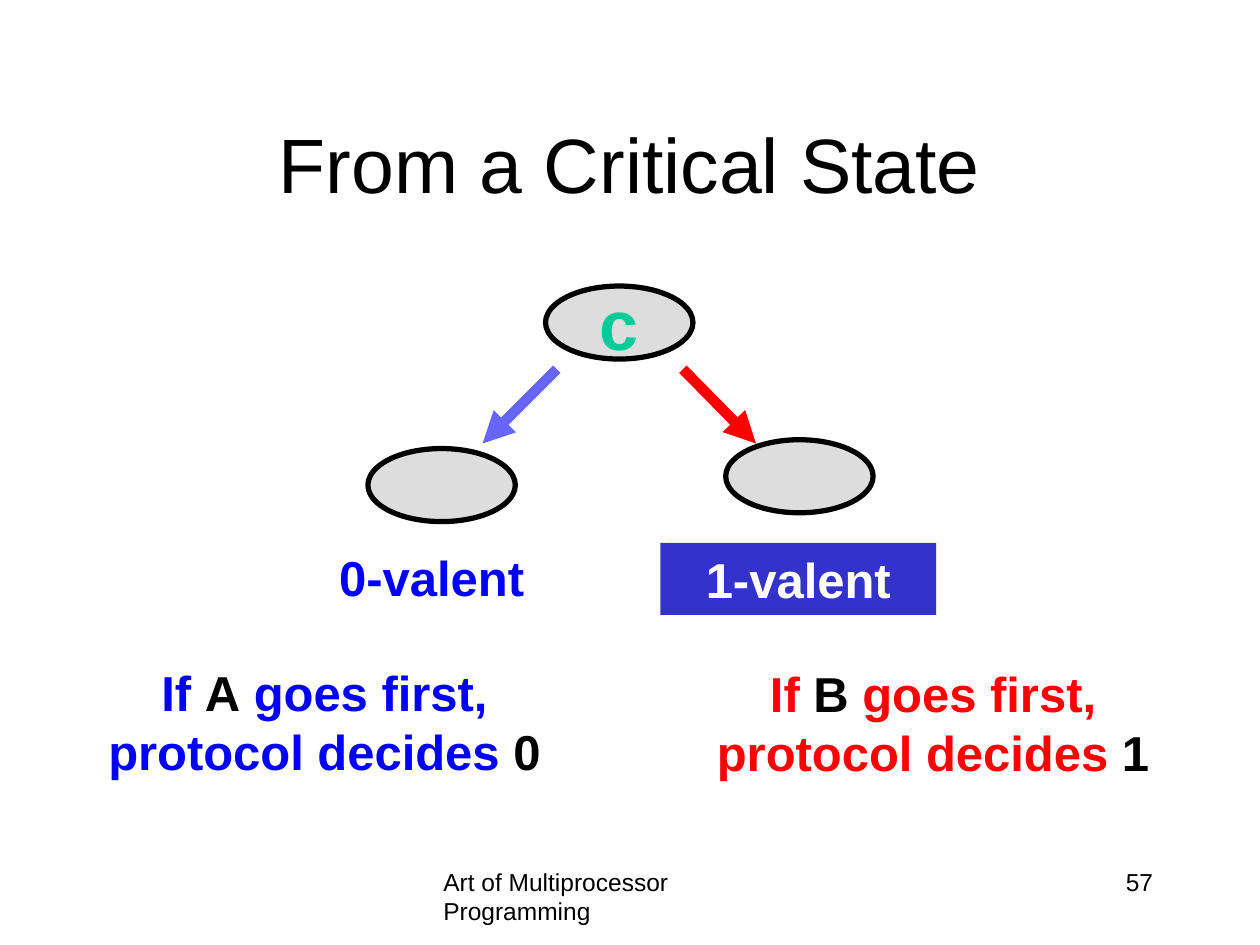
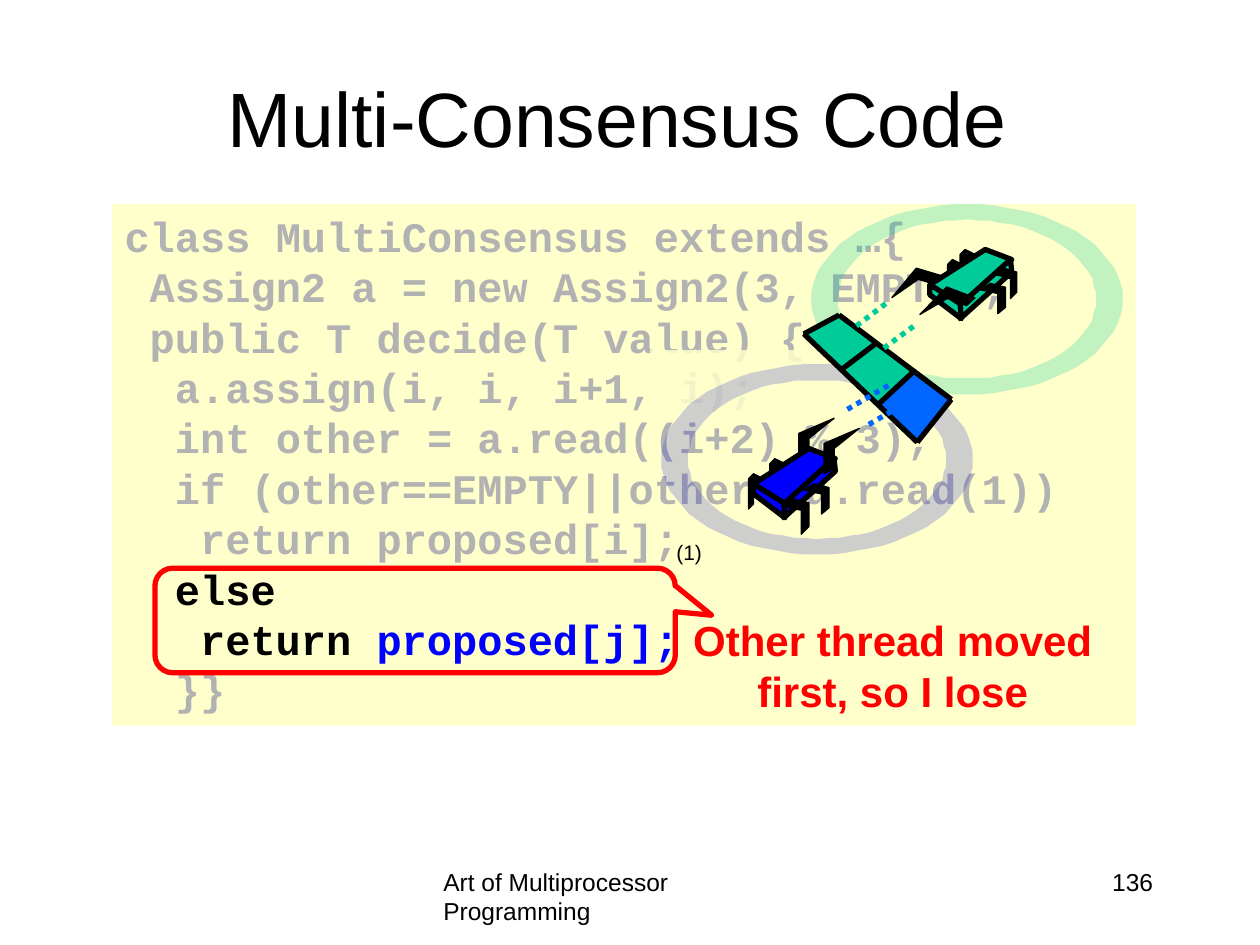
"""Build two slides on consensus: a critical state and the multi-consensus code."""
import math

from lxml import etree
from pptx import Presentation
from pptx import util as u
from pptx.dml.color import RGBColor
from pptx.enum import dml, shapes, text
from pptx.oxml.ns import qn

PX = 9144
BLACK = RGBColor(0x00, 0x00, 0x00)
WHITE = RGBColor(0xFF, 0xFF, 0xFF)
GRAY = RGBColor(0xDD, 0xDD, 0xDD)
FADED = RGBColor(0xB2, 0xB2, 0xB2)
BLUE = RGBColor(0x00, 0x00, 0xFF)
SKY = RGBColor(0x00, 0x66, 0xFF)
LILAC = RGBColor(0x66, 0x66, 0xFF)
INDIGO = RGBColor(0x33, 0x33, 0xCC)
RED = RGBColor(0xFF, 0x00, 0x00)
GREEN = RGBColor(0x00, 0xCC, 0x99)
CREAM = RGBColor(0xFF, 0xFF, 0xCC)

LEFT, CENTER, RIGHT = text.PP_ALIGN.LEFT, text.PP_ALIGN.CENTER, text.PP_ALIGN.RIGHT
TOP, MIDDLE = text.MSO_ANCHOR.TOP, text.MSO_ANCHOR.MIDDLE
SHAPE = shapes.MSO_SHAPE

BODY = [(44, 0), (0, 28), (24, 45), (65, 8)]
SIDE = [(64, 8), (24, 44), (24, 55), (65, 18)]
FRONT = [(0, 28), (0, 36), (25, 55), (24, 43)]
BACK_LEG = [(12, 4), (4, 0), (0, 4), (0, 28), (4, 24), (4, 8), (12, 12)]
FRONT_LEG = [(0.4, 0), (0, 0.22), (0.7, 0.32), (0.7, 1), (1, 0.79), (1, 0.11)]
CLAW = [(0, 36), (8, 32), (8, 16), (28, 0), (0, 12)]
MIRRORED_CLAW = [(28 - x, y) for x, y in CLAW]

CODE = [
    (0, "class MultiConsensus extends …{"),
    (1, "Assign2 a = new Assign2(3, EMPTY);"),
    (1, "public T decide(T value) {"),
    (2, "a.assign(i, i, i+1, i);"),
    (2, "int other = a.read((i+2) % 3);"),
    (2, "if (other==EMPTY||other==a.read(1))"),
    (3, "return proposed[i];"),
    (2, [("else", BLACK)]),
    (3, [("return", BLACK), (" proposed[j];", BLUE)]),
    (2, "}}"),
]


def write(tf, paragraphs, *, size, color=BLACK, bold=False, font="Arial",
          align=LEFT, anchor=TOP, wrap=True, indents=()):
    """Fill a text frame; a paragraph is a string or a list of (text, colour) runs."""
    tf.word_wrap = wrap
    tf.vertical_anchor = anchor
    for i, runs in enumerate(paragraphs):
        p = tf.paragraphs[0] if i == 0 else tf.add_paragraph()
        p.alignment = align
        if indents:
            p._p.get_or_add_pPr().set("marL", str(indents[i] * PX))
        for words, shade in [(runs, color)] if isinstance(runs, str) else runs:
            r = p.add_run()
            r.text = words
            r.font.name, r.font.size, r.font.bold = font, u.Pt(size), bold
            r.font.color.rgb = shade


def moved(points, x, y):
    """Shift points by an offset."""
    return [(x + px, y + py) for px, py in points]


class Deck:
    """Hold the shared style and the current slide."""

    def __init__(self):
        self.prs = Presentation()
        self.prs.slide_width, self.prs.slide_height = 1000 * PX, 750 * PX
        self.s = None

    def slide(self, title, number, x, y):
        self.s = self.prs.slides.add_slide(self.prs.slide_layouts[5])
        sp = self.s.shapes.title
        sp.left, sp.top, sp.width, sp.height = [v * PX for v in (x, y, 850, 125)]
        write(sp.text_frame, [title], size=44, align=CENTER, anchor=MIDDLE)
        self.text((342, 683, 317, 50), ["Art of Multiprocessor Programming"], size=14)
        self.text((717, 683, 208, 50), [str(number)], size=14, align=RIGHT)

    def text(self, box, paragraphs, **style):
        sp = self.s.shapes.add_textbox(*[v * PX for v in box])
        write(sp.text_frame, paragraphs, **style)

    def paint(self, sp, fill=None, line=None, width=3, alpha=None):
        sp.shadow.inherit = False
        if fill is None:
            sp.fill.background()
        else:
            sp.fill.solid()
            sp.fill.fore_color.rgb = fill
        if alpha:
            rgb = sp._element.spPr.find(qn("a:solidFill")).find(qn("a:srgbClr"))
            etree.SubElement(rgb, qn("a:alpha")).set("val", str(alpha * 1000))
        if line is None:
            sp.line.fill.background()
        else:
            sp.line.color.rgb, sp.line.width = line, u.Pt(width)
        return sp

    def shape(self, kind, box, **look):
        sp = self.s.shapes.add_shape(kind, *[v * PX for v in box])
        return self.paint(sp, **look)

    def polygon(self, *outlines, rotation=0, **look):
        first, *others = outlines
        builder = self.s.shapes.build_freeform(*first[0], scale=PX)
        builder.add_line_segments(first[1:], close=True)
        for points in others:
            builder.move_to(*points[0])
            builder.add_line_segments(points[1:], close=True)
        sp = self.paint(builder.convert_to_shape(), **look)
        sp.rotation = rotation

    def line(self, start, end, color=BLACK, width=3, dotted=False, arrow=False):
        sp = self.s.shapes.add_connector(
            shapes.MSO_CONNECTOR.STRAIGHT, *[v * PX for v in (*start, *end)])
        sp.line.color.rgb, sp.line.width = color, u.Pt(width)
        if dotted:
            sp.line.dash_style = dml.MSO_LINE.ROUND_DOT
        if arrow:
            etree.SubElement(sp.line._get_or_add_ln(), qn("a:tailEnd")).set("type", "triangle")
        etree.SubElement(sp._element.spPr, qn("a:effectLst"))

    def ring(self, cx, cy, color):
        def oval(rx, ry, turn):
            angles = [turn * math.tau * i / 72 for i in range(72)]
            return [(cx + rx * math.cos(a), cy + ry * math.sin(a)) for a in angles]
        self.polygon(oval(123.5, 75.5, 1), oval(102.5, 63, -1), fill=color, alpha=24)

    def bug(self, x, y, color, claws, back_legs, front_legs, claw=CLAW, turns=(0, 0)):
        def limb(points, rotation=0):
            self.polygon(points, rotation=rotation, fill=BLACK, line=BLACK, width=0.75)
        limb(moved(claw, *claws[0]), turns[0])
        for spot in back_legs:
            limb(moved(BACK_LEG, *spot))
        for part in (BODY, SIDE, FRONT):
            self.polygon(moved(part, x, y), fill=color, line=BLACK)
        for lx, ly, w, h in front_legs:
            limb([(lx + w * px, ly + h * py) for px, py in FRONT_LEG])
        limb(moved(claw, *claws[1]), turns[1])


def critical_state(deck):
    """Draw the critical state and its two successors."""
    deck.slide("From a Critical State", 57, 75, 67)
    states = [deck.shape(SHAPE.OVAL, (x, y, 117, 58), fill=GRAY, line=BLACK)
              for x, y in ((433, 227), (292, 356), (576, 349))]
    write(states[0].text_frame, ["c"], size=40, color=GREEN, bold=True,
          align=CENTER, anchor=MIDDLE, wrap=False)
    deck.line((442, 293), (383, 352), LILAC, 6, arrow=True)
    deck.line((542, 293), (600, 352), RED, 6, arrow=True)

    style = dict(size=28, bold=True, align=CENTER)
    for x, y, thread, value, color in ((37, 521, "A", "0", BLUE), (520, 522, "B", "1", RED)):
        runs = [("If ", color), (thread, BLACK),
                (" goes first, protocol decides ", color), (value, BLACK)]
        deck.text((x, y, 441, 103), [runs], **style)
    deck.text((225, 430, 235, 57), ["0-valent"], color=BLUE, **style)
    label = deck.shape(SHAPE.RECTANGLE, (524, 431, 219, 57), fill=INDIGO)
    write(label.text_frame, ["1-valent"], color=WHITE, **style)


def multi_consensus(deck):
    """Show the code with the two threads and the shared cells."""
    deck.slide("Multi-Consensus Code", 136, 65, 30)
    panel = deck.shape(SHAPE.RECTANGLE, (89, 162, 813, 414), fill=CREAM)
    write(panel.text_frame, [words for _, words in CODE], size=24, color=FADED,
          bold=True, font="Courier New", indents=[20 * depth for depth, _ in CODE])
    deck.shape(SHAPE.RECTANGLE, (516, 278, 385, 57), fill=CREAM, alpha=85)
    deck.s.shapes._spTree.append(deck.s.shapes.title._element)

    deck.ring(648.5, 364.5, INDIGO)
    deck.ring(767.5, 237.5, GREEN)

    upper = [(666, 250), (696, 272), (726, 294), (755, 317)]
    lower = [(638, 265), (667, 294), (697, 321), (728, 351)]
    deck.polygon([upper[0], lower[0], lower[3], upper[3]], fill=GRAY, line=BLACK, width=0.75)
    for i, color in ((2, SKY), (1, GREEN), (0, GREEN)):
        deck.polygon([upper[i], lower[i], lower[i + 1], upper[i + 1]],
                     fill=color, line=BLACK, width=0.75)

    deck.bug(598, 356, BLUE, claws=[(634, 332), (654, 340)],
             back_legs=[(594, 376), (611, 364)],
             front_legs=[(622, 396, 20, 28), (638, 384, 20, 24)])
    deck.bug(738, 198, GREEN, claws=[(715, 210), (738, 225)],
             back_legs=[(762, 198), (752, 206)],
             front_legs=[(790, 213, 17, 24), (778, 225, 20, 24)],
             claw=MIRRORED_CLAW, turns=(286.6, 291.1))

    deck.line(lower[0], lower[3])
    deck.line(upper[0], upper[3])
    for top, bottom in zip(upper, lower):
        deck.line(bottom, top)
    for start, end, color in (((703, 241), (670, 266), GREEN), ((725, 259), (691, 284), GREEN),
                              ((705, 306), (669, 327), SKY), ((722, 318), (686, 339), SKY)):
        deck.line(start, end, color, dotted=True)

    deck.text((526, 423, 41, 30), ["(1)"], size=12, align=RIGHT, wrap=False)
    callout = deck.shape(SHAPE.ROUNDED_RECTANGULAR_CALLOUT, (123, 451, 413, 83), line=RED)
    for i, value in enumerate((0.57, -0.05, 0.17)):
        callout.adjustments[i] = value
    deck.text((518, 483, 381, 91), ["Other thread moved first, so I lose"],
              size=24, color=RED, bold=True, align=CENTER)


def main():
    """Build and save the deck."""
    deck = Deck()
    critical_state(deck)
    multi_consensus(deck)
    deck.prs.save("out.pptx")


if __name__ == "__main__":
    main()
